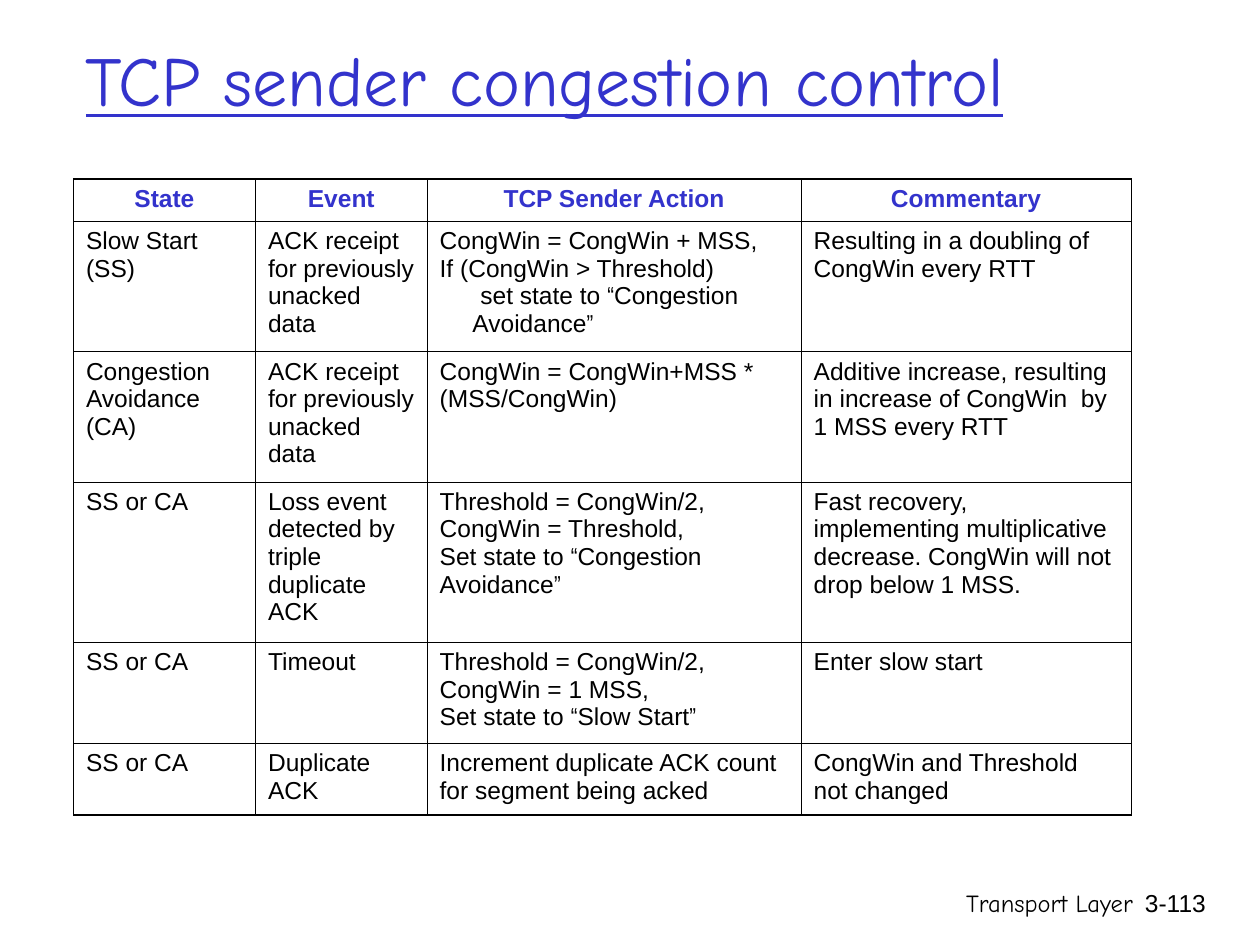
from dataclasses import dataclass
from itertools import product

from lxml.etree import SubElement
from pptx import Presentation
from pptx.dml.color import RGBColor
from pptx.enum.text import MSO_ANCHOR, PP_ALIGN
from pptx.oxml.ns import qn
from pptx.slide import Slide
from pptx.table import Table, _Cell
from pptx.text.text import TextFrame, _Paragraph
from pptx.util import Cm, Pt

BLUE = RGBColor(0x33, 0x33, 0xCC)
BLACK = RGBColor(0, 0, 0)
QUOTES = "“”"

TITLE_FORMAT = {"name": "Comic Neue", "size": Pt(40), "underline": True}
FOOTER_FORMAT = {"name": "Comic Neue", "size": Pt(14)}
BODY_FORMAT = {"name": "Arial", "size": Pt(14), "bold": False}
HEADER_FORMAT = BODY_FORMAT | {"bold": True}
QUOTE_FORMAT = BODY_FORMAT | {"name": "Arial Narrow"}


@dataclass(frozen=True)
class Label:
    text: str
    left: float
    top: float
    width: float
    height: float
    font: dict
    color: RGBColor = BLACK
    alignment: PP_ALIGN = PP_ALIGN.RIGHT
    anchor: MSO_ANCHOR = MSO_ANCHOR.TOP


@dataclass(frozen=True)
class Rule:
    state: str
    event: str
    action: str
    commentary: str
    height: float

    def texts(self) -> tuple[str, ...]:
        return self.state, self.event, self.action, self.commentary


LABELS = (
    Label("TCP sender congestion control", 1.48, 0, 21.6, 3.18, TITLE_FORMAT,
          BLUE, PP_ALIGN.LEFT, MSO_ANCHOR.MIDDLE),
    Label("Transport Layer", 15.04, 17.78, 8.05, 1.27, FOOTER_FORMAT),
    Label("3-113", 22.68, 17.78, 1.88, 1.27, BODY_FORMAT),
)

RULES = (
    Rule("State", "Event", "TCP Sender Action", "Commentary", 0.85),
    Rule("Slow Start (SS)", "ACK receipt for previously unacked data",
         "CongWin = CongWin + MSS,\nIf (CongWin > Threshold)\n"
         "\tset state to “Congestion Avoidance”",
         "Resulting in a doubling of CongWin every RTT", 2.62),
    Rule("Congestion\nAvoidance (CA)", "ACK receipt for previously unacked data",
         "CongWin = CongWin+MSS * (MSS/CongWin)",
         "Additive increase, resulting in increase of CongWin  by 1 MSS every RTT", 2.62),
    Rule("SS or CA", "Loss event detected by triple duplicate ACK",
         "Threshold = CongWin/2,\nCongWin = Threshold,\n"
         "Set state to “Congestion Avoidance”",
         "Fast recovery, implementing multiplicative decrease. "
         "CongWin will not drop below 1 MSS.", 3.23),
    Rule("SS or CA", "Timeout",
         "Threshold = CongWin/2,\nCongWin = 1 MSS,\nSet state to “Slow Start”",
         "Enter slow start", 2.02),
    Rule("SS or CA", "Duplicate ACK",
         "Increment duplicate ACK count for segment being acked",
         "CongWin and Threshold not changed", 1.45),
)
COLUMN_WIDTHS = (3.67, 3.46, 7.54, 6.65)


def add_run(paragraph: _Paragraph, text: str, font: dict, color: RGBColor) -> None:
    run = paragraph.add_run()
    run.text = text
    for name, value in font.items():
        setattr(run.font, name, value)
    run.font.color.rgb = color


def indent(paragraph: _Paragraph) -> None:
    properties = paragraph._p.get_or_add_pPr()
    for name, value in {"marL": Cm(0.66), "indent": Cm(0.16)}.items():
        properties.set(name, str(int(value)))


def write_lines(frame: TextFrame, text: str, font: dict, color: RGBColor,
                alignment: PP_ALIGN) -> None:
    for number, line in enumerate(text.split("\n")):
        paragraph = frame.add_paragraph() if number else frame.paragraphs[0]
        paragraph.alignment = alignment
        if line.startswith("\t"):
            indent(paragraph)
        marked = line.strip("\t")
        for quote in QUOTES:
            marked = marked.replace(quote, f"\n{quote}\n")
        for part in filter(None, marked.split("\n")):
            add_run(paragraph, part, QUOTE_FORMAT if part in QUOTES else font, color)


def add_label(slide: Slide, label: Label) -> None:
    box = slide.shapes.add_textbox(
        Cm(label.left), Cm(label.top), Cm(label.width), Cm(label.height))
    frame = box.text_frame
    frame.word_wrap = True
    frame.vertical_anchor = label.anchor
    write_lines(frame, label.text, label.font, label.color, label.alignment)


def set_borders(cell: _Cell, first: bool, last: bool) -> None:
    widths = {"a:lnL": 0.34, "a:lnR": 0.34,
              "a:lnT": 0.96 if first else 0.45, "a:lnB": 0.96 if last else 0.45}
    properties = cell._tc.get_or_add_tcPr()
    for tag, width in widths.items():
        border = SubElement(properties, qn(tag), w=str(int(Pt(width))))
        fill = SubElement(border, qn("a:solidFill"))
        SubElement(fill, qn("a:srgbClr"), val=str(BLACK))


def fill_table(table: Table) -> None:
    table.first_row = False
    table.horz_banding = False
    for column, width in zip(table.columns, COLUMN_WIDTHS):
        column.width = Cm(width)
    for row, rule in zip(table.rows, RULES):
        row.height = Cm(rule.height)
    last_row = len(RULES) - 1
    for row, column in product(range(len(RULES)), range(len(COLUMN_WIDTHS))):
        cell = table.cell(row, column)
        set_borders(cell, row == 0, row == last_row)
        cell.fill.background()
        font, color, alignment = (
            (BODY_FORMAT, BLACK, PP_ALIGN.LEFT) if row
            else (HEADER_FORMAT, BLUE, PP_ALIGN.CENTER))
        write_lines(cell.text_frame, RULES[row].texts()[column], font, color, alignment)


presentation = Presentation()
presentation.slide_width = Cm(25.4)
presentation.slide_height = Cm(19.05)
slide = presentation.slides.add_slide(presentation.slide_layouts[6])
for label in LABELS:
    add_label(slide, label)
table_frame = slide.shapes.add_table(
    len(RULES), len(COLUMN_WIDTHS), Cm(1.48), Cm(3.61),
    Cm(sum(COLUMN_WIDTHS)), Cm(sum(rule.height for rule in RULES)))
fill_table(table_frame.table)
presentation.save("out.pptx")
